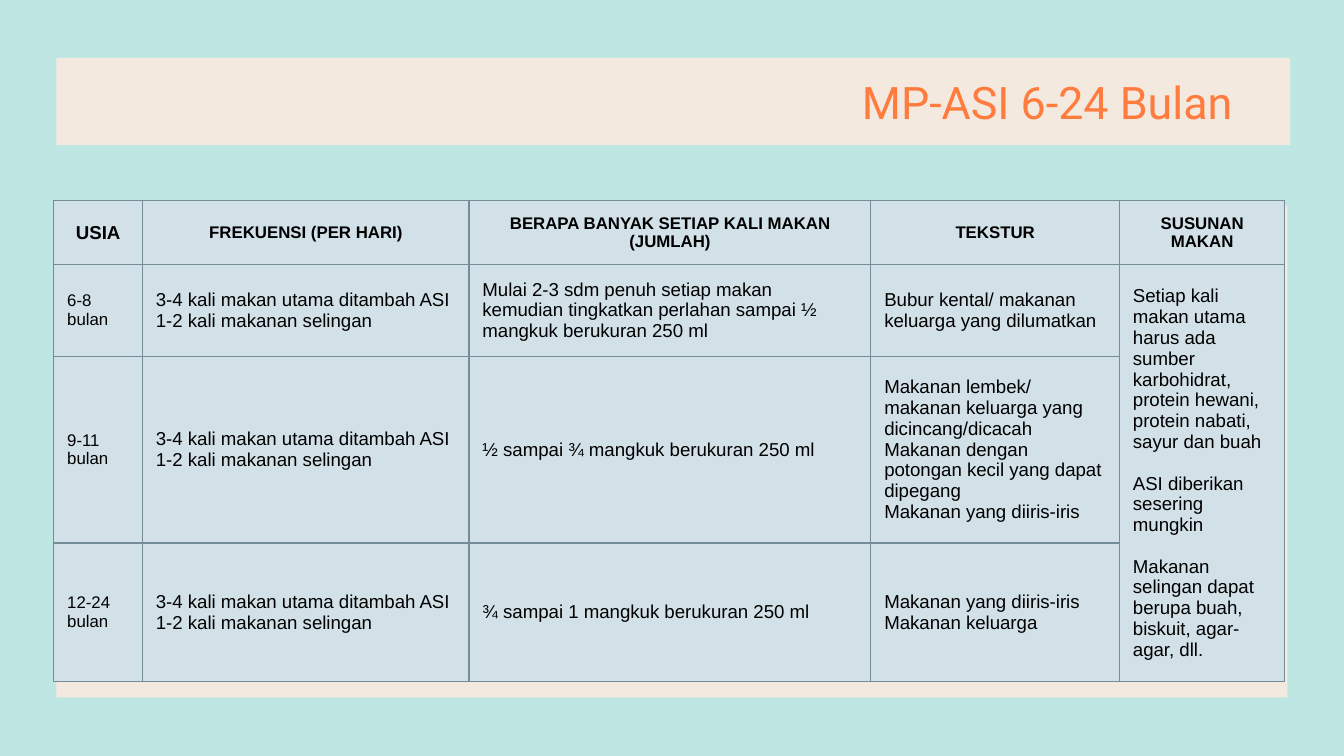
from dataclasses import dataclass

from lxml import etree
from pptx import Presentation
from pptx.dml.color import RGBColor
from pptx.enum import shapes, text
from pptx.oxml import ns
from pptx.util import Inches, Pt


@dataclass(frozen=True)
class Theme:
    back: str = "BEE7E4"
    band: str = "F4E9DF"
    cell: str = "D2E0E7"
    edge: str = "748D99"
    title: str = "FF7C3E"
    ink: str = "000000"
    head: str = "Roboto"
    body: str = "Arial"
    big: int = 24
    mid: int = 10
    small: int = 9
    gap: int = 11
    inset: float = 0.1


THEME = Theme()
WIDTH = 10
COLS = [0.66, 2.43, 2.99, 1.85, 1.23]
ROWS = [0.48, 0.68, 1.39, 1.03]
HEADS = ["USIA", "FREKUENSI (PER HARI)", "BERAPA BANYAK SETIAP KALI MAKAN (JUMLAH)",
         "TEKSTUR", "SUSUNAN MAKAN"]
OFTEN = ["3-4 kali makan utama ditambah ASI", "1-2 kali makanan selingan"]
AGES = [
    (["6-8 bulan"], OFTEN,
     ["Mulai 2-3 sdm penuh setiap makan kemudian tingkatkan perlahan sampai "
      "½ mangkuk berukuran 250 ml"],
     ["Bubur kental/ makanan keluarga yang dilumatkan"]),
    (["9-11 bulan"], OFTEN, ["½ sampai ¾ mangkuk berukuran 250 ml"],
     ["Makanan lembek/ makanan keluarga yang dicincang/dicacah",
      "Makanan dengan potongan kecil yang dapat dipegang",
      "Makanan yang diiris-iris"]),
    (["12-24 bulan"], OFTEN, ["¾ sampai 1 mangkuk berukuran 250 ml"],
     ["Makanan yang diiris-iris", "Makanan keluarga"]),
]
MEALS = [
    "Setiap kali makan utama harus ada sumber karbohidrat, protein hewani, "
    "protein nabati, sayur dan buah",
    "ASI diberikan sesering mungkin",
    "Makanan selingan dapat berupa buah, biskuit, agar-agar, dll.",
]


def rgb(code):
    return RGBColor.from_string(code)


def pad(box):
    """Give a cell or text frame the same inset on every side."""
    box.margin_left = box.margin_right = Inches(THEME.inset)
    box.margin_top = box.margin_bottom = Inches(THEME.inset)
    box.vertical_anchor = text.MSO_ANCHOR.MIDDLE


def write(frame, lines, size, align, font=THEME.body, color=THEME.ink,
          bold=False, gap=0):
    for i, line in enumerate(lines):
        para = frame.add_paragraph() if i else frame.paragraphs[0]
        para.alignment = align
        para.space_before = Pt(gap if i else 0)
        run = para.add_run()
        run.text = line
        run.font.name = font
        run.font.size = Pt(size)
        run.font.bold = bold
        run.font.color.rgb = rgb(color)


def add_band(slide, left, top, width, height):
    band = slide.shapes.add_shape(shapes.MSO_SHAPE.RECTANGLE, Inches(left),
                                  Inches(top), Inches(width), Inches(height))
    band.shadow.inherit = False
    band.fill.solid()
    band.fill.fore_color.rgb = rgb(THEME.band)
    band.line.fill.background()


def add_title(slide, line):
    title = slide.shapes.title
    title.left, title.top = Inches(3.67), Inches(0.43)
    title.width, title.height = Inches(5.6), Inches(0.65)
    frame = title.text_frame
    frame.word_wrap = True
    frame.auto_size = text.MSO_AUTO_SIZE.NONE
    pad(frame)
    write(frame, [line], THEME.big, text.PP_ALIGN.RIGHT, THEME.head, THEME.title)
    # Bring the title in front of its band.
    title.element.getparent().append(title.element)


def style_cell(cell):
    props = cell._tc.get_or_add_tcPr()
    for side in ("lnL", "lnR", "lnT", "lnB"):
        line = etree.SubElement(props, ns.qn("a:" + side), w=str(Pt(0.75)))
        fill = etree.SubElement(line, ns.qn("a:solidFill"))
        etree.SubElement(fill, ns.qn("a:srgbClr"), val=THEME.edge)
    cell.fill.solid()
    cell.fill.fore_color.rgb = rgb(THEME.cell)
    pad(cell)


def add_grid(slide):
    grid = slide.shapes.add_table(
        len(ROWS), len(COLS), Inches(0.4), Inches(1.49),
        Inches(sum(COLS)), Inches(sum(ROWS))).table
    grid.first_row = grid.horz_banding = False
    for col, width in zip(grid.columns, COLS):
        col.width = Inches(width)
    for row, height in zip(grid.rows, ROWS):
        row.height = Inches(height)
    for cell in grid.iter_cells():
        style_cell(cell)

    for c, head in enumerate(HEADS):
        size = THEME.small if c else THEME.mid
        write(grid.cell(0, c).text_frame, [head], size,
              text.PP_ALIGN.CENTER, bold=True)
    for r, row in enumerate(AGES, 1):
        for c, lines in enumerate(row):
            size = THEME.mid if c else THEME.small
            write(grid.cell(r, c).text_frame, lines, size, text.PP_ALIGN.LEFT)

    last = len(COLS) - 1
    meal = grid.cell(1, last)
    meal.merge(grid.cell(len(AGES), last))
    write(meal.text_frame, MEALS, THEME.mid, text.PP_ALIGN.LEFT, gap=THEME.gap)


def main():
    deck = Presentation()
    deck.slide_width = Inches(WIDTH)
    deck.slide_height = Inches(WIDTH * 9 / 16)
    slide = deck.slides.add_slide(deck.slide_layouts[5])
    slide.background.fill.solid()
    slide.background.fill.fore_color.rgb = rgb(THEME.back)
    add_band(slide, 0.42, 1.53, 9.16, 3.66)
    add_band(slide, 0.42, 0.43, 9.18, 0.65)
    add_title(slide, "MP-ASI 6-24 Bulan")
    add_grid(slide)
    deck.save("out.pptx")


if __name__ == "__main__":
    main()
